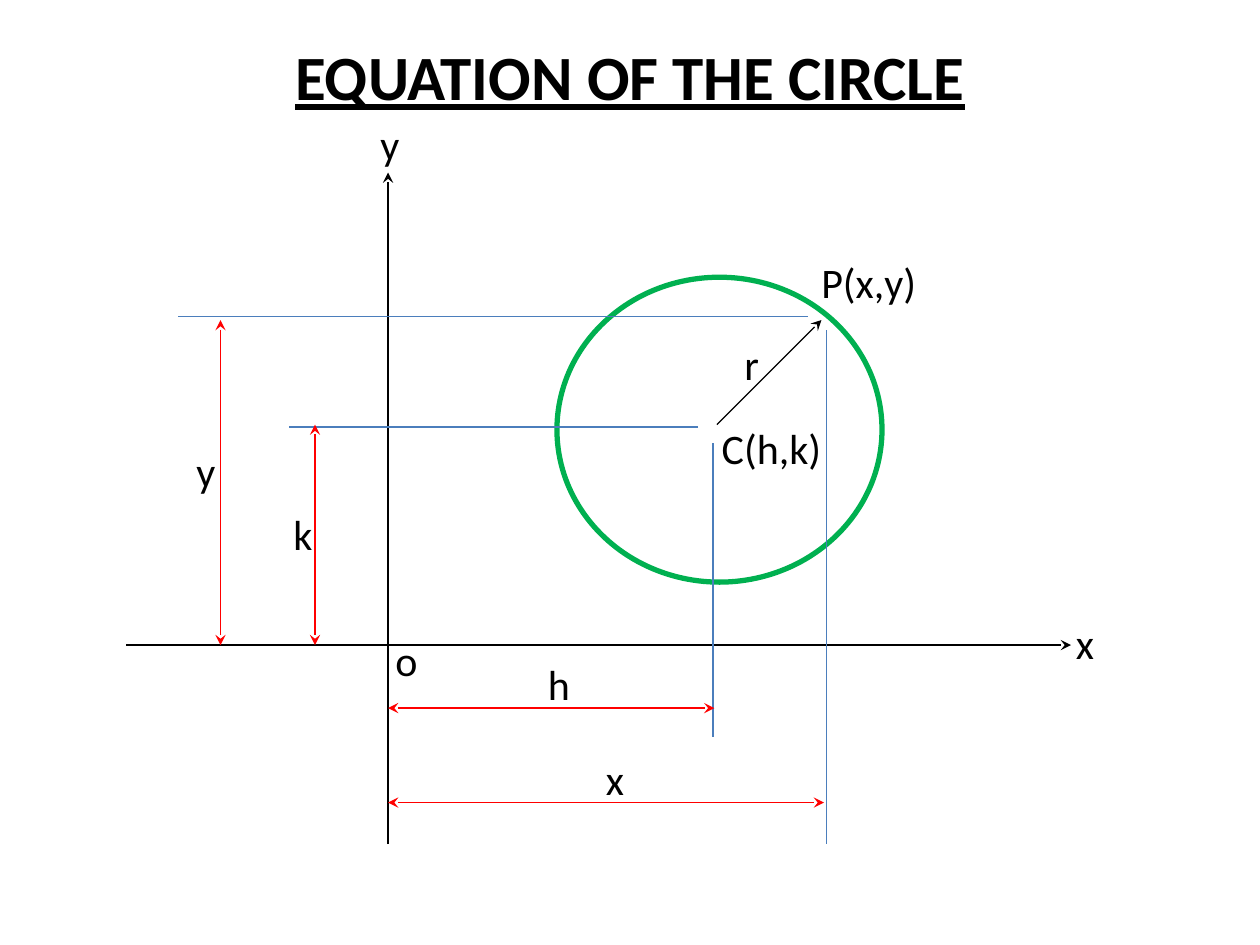
from lxml import etree
from pptx import Presentation
from pptx import util as u
from pptx.dml.color import RGBColor
from pptx.enum import shapes, text
from pptx.oxml.ns import qn

BLACK = RGBColor(0x00, 0x00, 0x00)
GREEN = RGBColor(0x00, 0xB0, 0x50)
BLUE = RGBColor(0x4B, 0x7E, 0xBC)
RED = RGBColor(0xFF, 0x00, 0x00)

deck = Presentation()
deck.slide_width, deck.slide_height = u.Inches(10), u.Inches(7.5)
slide = deck.slides.add_slide(deck.slide_layouts[6])


def add_line(start, end, color, arrowheads=()):
    line = slide.shapes.add_connector(
        shapes.MSO_CONNECTOR.STRAIGHT, *(u.Inches(v) for v in (*start, *end)))
    line.line.color.rgb = color
    line.line.width = u.Pt(0.75)
    outline = line.line._get_or_add_ln()
    for arrowhead in arrowheads:
        etree.SubElement(outline, qn(f"a:{arrowhead}"), type="stealth")
    etree.SubElement(line._element.spPr, qn("a:effectLst"))


def add_text(words, left, top, width, height, size):
    box = slide.shapes.add_textbox(*(u.Inches(v) for v in (left, top, width, height)))
    run = box.text_frame.paragraphs[0].add_run()
    run.text = words
    run.font.name = "Calibri"
    run.font.size = u.Pt(size)
    run.font.color.rgb = BLACK
    return box.text_frame, run


# Title
title, heading = add_text("EQUATION OF THE CIRCLE", 0.75, 0.25, 8.5, 0.75, 36)
title.word_wrap = True
title.paragraphs[0].alignment = text.PP_ALIGN.CENTER
heading.font.bold = heading.font.underline = True

# Circle
circle = slide.shapes.add_shape(
    shapes.MSO_SHAPE.OVAL, u.Inches(4.42), u.Inches(2.2), u.Inches(2.58), u.Inches(2.42))
circle.shadow.inherit = False
circle.fill.background()
circle.line.color.rgb = GREEN
circle.line.width = u.Pt(3)

# Axes, crossing at the origin
origin_x, origin_y = 3.08, 5.12
add_line((origin_x, 6.7), (origin_x, 1.37), BLACK, ["tailEnd"])
add_line((1, origin_y), (8.5, origin_y), BLACK, ["tailEnd"])

# Projections of the centre C and the point P
for start, end in [
    ((5.54, 3.39), (2.29, 3.39)),
    ((5.66, 3.52), (5.66, 5.85)),
    ((6.41, 2.51), (1.41, 2.51)),
    ((6.56, 2.62), (6.56, 6.7)),
]:
    add_line(start, end, BLUE)

# Dimension arrows: k and y upright, h and x level
for x, top in [(2.5, 3.37), (1.75, 2.54)]:
    add_line((x, top), (x, origin_y), RED, ["headEnd", "tailEnd"])
for y, right in [(5.62, 5.67), (6.37, 6.54)]:
    add_line((origin_x, y), (right, y), RED, ["headEnd", "tailEnd"])

# Radius
add_line((5.69, 3.37), (6.52, 2.54), BLACK, ["tailEnd"])

# Labels
for words, left, top, width in [
    ("P(x,y)", 6.42, 1.99, 0.96),
    ("C(h,k)", 5.63, 3.3, 1),
    ("y", 2.92, 0.89, 0.35),
    ("x", 8.44, 4.85, 0.35),
    ("x", 4.71, 5.93, 0.35),
    ("y", 1.46, 3.49, 0.36),
    ("k", 2.23, 3.99, 0.35),
    ("h", 4.25, 5.18, 0.38),
    ("r", 5.81, 2.64, 0.32),
    ("o", 3.04, 4.99, 0.38),
]:
    label, _ = add_text(words, left, top, width, 0.51, 24)
    label.word_wrap = False
    label.auto_size = text.MSO_AUTO_SIZE.SHAPE_TO_FIT_TEXT

deck.save("out.pptx")
